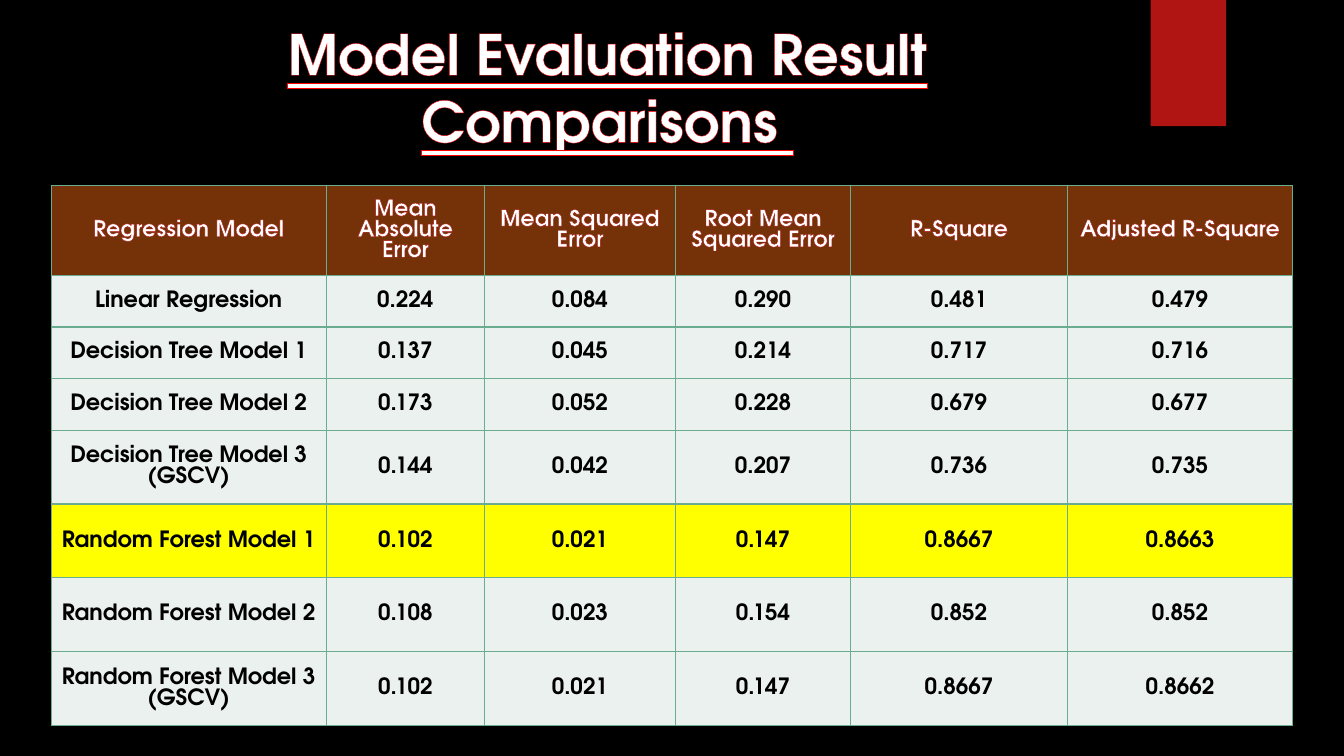
from lxml import etree
from pptx import Presentation
from pptx import util as u
from pptx.dml.color import RGBColor
from pptx.enum import shapes, text
from pptx.oxml import ns

FONT = "TeX Gyre Adventor"
WHITE, BLACK, RED = "FFFFFF", "000000", "B01513"
HEADER_FILL, ROW_FILL, BEST_FILL, BORDER = "753209", "EBF1EE", "FFFF00", "6AAC90"

HEADER = ["Regression Model", "Mean Absolute Error", "Mean Squared Error",
          "Root Mean Squared Error", "R-Square", "Adjusted R-Square"]
RESULTS = [
    ["Linear Regression", "0.224", "0.084", "0.290", "0.481", "0.479"],
    ["Decision Tree Model 1", "0.137", "0.045", "0.214", "0.717", "0.716"],
    ["Decision Tree Model 2", "0.173", "0.052", "0.228", "0.679", "0.677"],
    ["Decision Tree Model 3 (GSCV)", "0.144", "0.042", "0.207", "0.736", "0.735"],
    ["Random Forest Model 1", "0.102", "0.021", "0.147", "0.8667", "0.8663"],
    ["Random Forest Model 2", "0.108", "0.023", "0.154", "0.852", "0.852"],
    ["Random Forest Model 3 (GSCV)", "0.102", "0.021", "0.147", "0.8667", "0.8662"],
]
BEST_MODEL = "Random Forest Model 1"
COL_WIDTHS = [6.93, 3.99, 4.81, 4.42, 5.46, 5.68]
ROW_HEIGHTS = [2.27] + [1.3] * 3 + [1.86] * 4


def rgb(value):
    return RGBColor.from_string(value)


def line_xml(tag, color, width):
    """Return a solid DrawingML line element; width is in points."""
    ln = etree.Element(ns.qn(tag), w=str(u.Pt(width)))
    fill = etree.SubElement(ln, ns.qn("a:solidFill"))
    etree.SubElement(fill, ns.qn("a:srgbClr"), val=color)
    return ln


def write(tf, content, size, color, outline=None, underline=None):
    tf.word_wrap = True
    p = tf.paragraphs[0]
    p.alignment = text.PP_ALIGN.CENTER
    r = p.add_run()
    r.text = content
    r.font.name, r.font.size, r.font.bold = FONT, u.Pt(size), True
    r.font.underline = underline
    r.font.color.rgb = rgb(color)
    if outline:
        r.font._element.insert(0, line_xml("a:ln", outline, 0.75))


def add_ribbon(slide, left, top, width, height):
    sp = slide.shapes.add_shape(shapes.MSO_SHAPE.RECTANGLE, u.Cm(left), u.Cm(top),
                                u.Cm(width), u.Cm(height))
    sp.shadow.inherit = False
    sp.fill.solid()
    sp.fill.fore_color.rgb = rgb(RED)
    sp.line.fill.background()


def add_title(slide, left, top, width, height):
    sp = slide.shapes.add_textbox(u.Cm(left), u.Cm(top), u.Cm(width), u.Cm(height))
    write(sp.text_frame, "Model Evaluation Result Comparisons ", 40, WHITE,
          outline="FF0000", underline=True)


def style_cell(cell, fill):
    cell.vertical_anchor = text.MSO_ANCHOR.MIDDLE
    cell.margin_left = cell.margin_right = u.Cm(0.24)
    cell.margin_top = cell.margin_bottom = u.Cm(0.1)
    tc_pr = cell._tc.get_or_add_tcPr()
    for side in ("L", "R", "T", "B"):
        tc_pr.append(line_xml(f"a:ln{side}", BORDER, 1))
    cell.fill.solid()
    cell.fill.fore_color.rgb = rgb(fill)


def add_results_table(slide, left, top):
    rows = [HEADER] + RESULTS
    table = slide.shapes.add_table(
        len(rows), len(HEADER), u.Cm(left), u.Cm(top),
        u.Cm(sum(COL_WIDTHS)), u.Cm(sum(ROW_HEIGHTS))).table
    for column, width in zip(table.columns, COL_WIDTHS):
        column.width = u.Cm(width)
    for row, height, values in zip(table.rows, ROW_HEIGHTS, rows):
        row.height = u.Cm(height)
        fill, color, outline = ROW_FILL, BLACK, None
        if values is HEADER:
            fill, color, outline = HEADER_FILL, WHITE, RED
        elif values[0] == BEST_MODEL:
            fill = BEST_FILL
        for cell, value in zip(row.cells, values):
            style_cell(cell, fill)
            write(cell.text_frame, value, 16, color, outline=outline)


def main():
    prs = Presentation()
    prs.slide_width, prs.slide_height = u.Cm(33.87), u.Cm(19.05)
    slide = prs.slides.add_slide(prs.slide_layouts[6])
    slide.background.fill.solid()
    slide.background.fill.fore_color.rgb = rgb(BLACK)
    add_ribbon(slide, 29, 0, 1.9, 3.18)
    add_title(slide, 3.39, 0.36, 23.83, 5.38)
    add_results_table(slide, 1.29, 4.67)
    prs.save("out.pptx")


if __name__ == "__main__":
    main()
